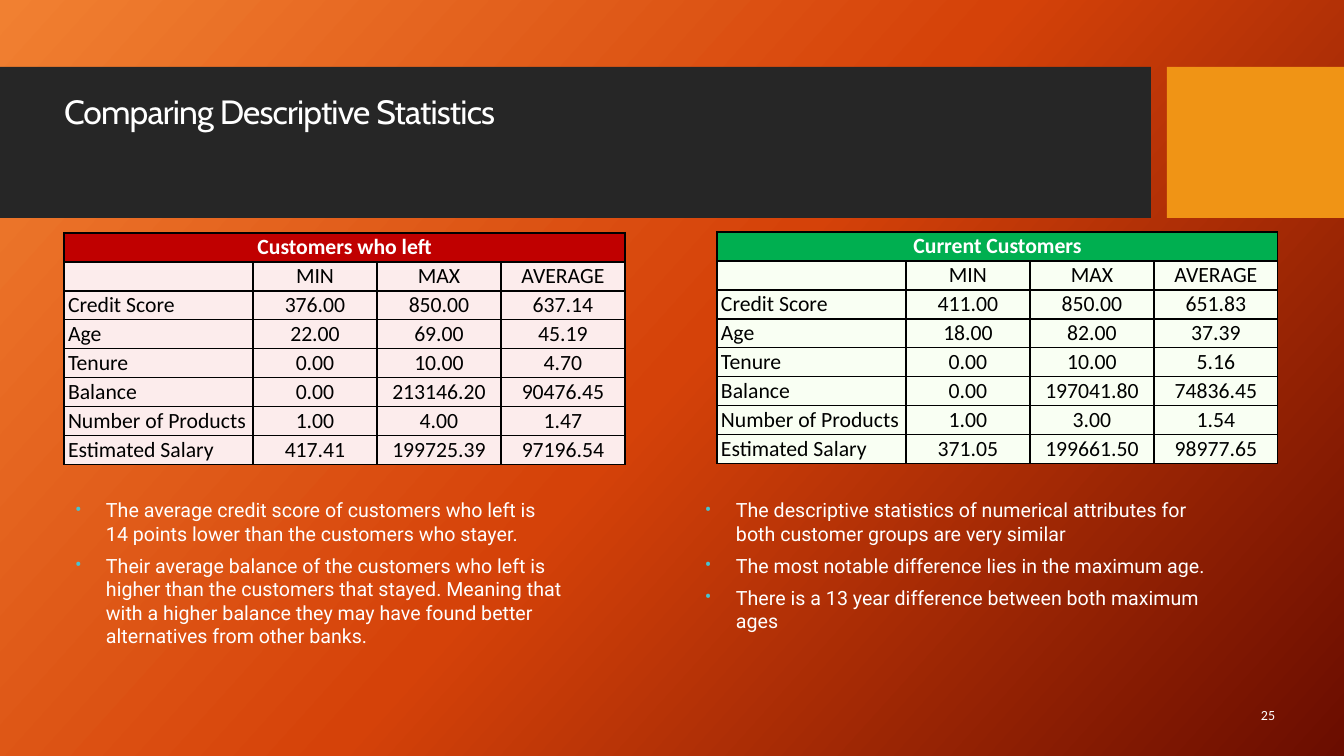
from copy import deepcopy
from dataclasses import dataclass

from lxml.etree import SubElement
from pptx import Presentation
from pptx.dml.color import RGBColor
from pptx.enum.shapes import MSO_SHAPE
from pptx.enum.text import MSO_ANCHOR as Anchor, MSO_AUTO_SIZE as AutoSize, PP_ALIGN as Align
from pptx.oxml.ns import qn
from pptx.util import Emu, Pt

EMU_PER_PX = 12192000 / 1344

WHITE = RGBColor(0xFF, 0xFF, 0xFF)
BLACK = RGBColor(0x00, 0x00, 0x00)
CHARCOAL = RGBColor(0x26, 0x26, 0x26)
AMBER = RGBColor(0xF0, 0x94, 0x15)
RED = RGBColor(0xC0, 0x00, 0x00)
PINK = RGBColor(0xFC, 0xEC, 0xEC)
GREEN = RGBColor(0x00, 0xAF, 0x50)
MINT = RGBColor(0xF9, 0xFF, 0xF3)
CYAN = RGBColor(0x46, 0xC3, 0xD2)
BACKDROP = (
    (0, RGBColor(0xF1, 0x80, 0x31)),
    (0.5, RGBColor(0xD5, 0x42, 0x09)),
    (1, RGBColor(0x6A, 0x0D, 0x00)),
)

STATISTICS = ("MIN", "MAX", "AVERAGE")
ATTRIBUTES = ("Credit Score", "Age", "Tenure", "Balance", "Number of Products", "Estimated Salary")
COLUMN_WIDTHS = (189, 124, 124, 124)
ROW_HEIGHT = 29


@dataclass(frozen=True)
class Box:
    left: int
    top: int
    width: int
    height: int

    def emu(self) -> tuple[Emu, ...]:
        return tuple(map(px, (self.left, self.top, self.width, self.height)))


@dataclass(frozen=True)
class Band:
    box: Box
    color: RGBColor


@dataclass(frozen=True)
class Finding:
    text: str
    right_margin: int = 0


@dataclass(frozen=True)
class CustomerGroup:
    heading: str
    heading_color: RGBColor
    cell_color: RGBColor
    left: int
    top: int
    values: tuple[tuple[float, float, float], ...]
    findings_box: Box
    findings: tuple[Finding, ...]


BANDS = (
    Band(Box(0, 67, 1151, 151), CHARCOAL),
    Band(Box(1167, 67, 177, 151), AMBER),
)
LEAVERS = CustomerGroup(
    "Customers who left", RED, PINK, 64, 233,
    ((376, 850, 637.14), (22, 69, 45.19), (0, 10, 4.7),
     (0, 213146.2, 90476.45), (1, 4, 1.47), (417.41, 199725.39, 97196.54)),
    Box(73, 497, 526, 152),
    (Finding("The average credit score of customers who left is 14 points lower "
             "than the customers who stayer.", right_margin=45),
     Finding("Their average balance of the customers who left is higher than the customers "
             "that stayed. Meaning that with a higher balance they may have found better "
             "alternatives from other banks.")),
)
STAYERS = CustomerGroup(
    "Current Customers", GREEN, MINT, 717, 232,
    ((411, 850, 651.83), (18, 82, 37.39), (0, 10, 5.16),
     (0, 197041.8, 74836.45), (1, 3, 1.54), (371.05, 199661.5, 98977.65)),
    Box(703, 497, 517, 137),
    (Finding("The descriptive statistics of numerical attributes for both customer groups "
             "are very similar"),
     Finding("The most notable difference lies in the maximum age."),
     Finding("There is a 13 year difference between both maximum ages")),
)


def px(length: int) -> Emu:
    return Emu(round(length * EMU_PER_PX))


def write(paragraph, text: str, *, font: str, size: float, color: RGBColor = WHITE,
          bold: bool = False, align: Align = Align.LEFT, before: float = 0,
          tracking: int = 0, left: int = 0, right: int = 0, hanging: int = 0) -> None:
    paragraph.alignment = align
    paragraph.space_before = Pt(before)
    paragraph.line_spacing = 1.0
    layout = paragraph._p.get_or_add_pPr()
    for side, length in (("marL", left), ("marR", right), ("indent", -hanging)):
        layout.set(side, str(px(length)))
    if not text:
        SubElement(paragraph._p, qn("a:endParaRPr")).set("sz", str(round(size * 100)))
        return
    run = paragraph.add_run()
    run.text = text
    run.font.name = font
    run.font.size = Pt(size)
    run.font.bold = bold
    run.font.color.rgb = color
    run._r.get_or_add_rPr().set("spc", str(tracking))


def set_frame(shape, box: Box, top_inset: int, anchor: Anchor = Anchor.TOP):
    shape.left, shape.top, shape.width, shape.height = box.emu()
    frame = shape.text_frame
    frame.word_wrap = True
    frame.auto_size = AutoSize.NONE
    frame.vertical_anchor = anchor
    frame.margin_left = frame.margin_right = frame.margin_bottom = 0
    frame.margin_top = px(top_inset)
    return frame


def paint_backdrop(slide) -> None:
    fill = slide.background.fill
    fill.gradient()
    fill.gradient_angle = 318
    stops = slide._element.find(".//" + qn("a:gsLst"))
    stops.insert(1, deepcopy(stops[0]))
    for stop, (position, color) in zip(fill.gradient_stops, BACKDROP):
        stop.position = position
        stop.color.rgb = color


def draw_band(slide, band: Band) -> None:
    bar = slide.shapes.add_shape(MSO_SHAPE.RECTANGLE, *band.box.emu())
    bar.shadow.inherit = False
    bar.fill.solid()
    bar.fill.fore_color.rgb = band.color
    bar.line.fill.background()


def border_cell(cell) -> None:
    properties = cell._tc.get_or_add_tcPr()
    for position, side in enumerate(("lnL", "lnR", "lnT", "lnB")):
        line = SubElement(properties, qn(f"a:{side}"), w=str(Pt(1)))
        solid = SubElement(line, qn("a:solidFill"))
        SubElement(solid, qn("a:srgbClr"), val=str(BLACK))
        properties.insert(position, line)


def draw_statistics(slide, group: CustomerGroup) -> None:
    rows = [(group.heading, "", "", ""), ("", *STATISTICS)]
    rows += [(name, *(f"{value:.2f}" for value in values))
             for name, values in zip(ATTRIBUTES, group.values)]
    box = Box(group.left, group.top, sum(COLUMN_WIDTHS), ROW_HEIGHT * len(rows))
    table = slide.shapes.add_table(len(rows), len(COLUMN_WIDTHS), *box.emu()).table
    table.first_row = table.horz_banding = False
    for column, width in zip(table.columns, COLUMN_WIDTHS):
        column.width = px(width)
    for r, texts in enumerate(rows):
        table.rows[r].height = px(ROW_HEIGHT)
        heading = r == 0
        for c, text in enumerate(texts):
            cell = table.cell(r, c)
            label = c == 0 and not heading
            cell.margin_left = cell.margin_right = cell.margin_bottom = 0
            cell.margin_top = px(1)
            cell.fill.solid()
            cell.fill.fore_color.rgb = group.heading_color if heading else group.cell_color
            border_cell(cell)
            write(cell.text_frame.paragraphs[0], text, font="Calibri", size=15.5,
                  color=WHITE if heading else BLACK, bold=heading, before=0.4,
                  align=Align.LEFT if label else Align.CENTER, left=4 if label else 0)
    table.cell(0, 0).merge(table.cell(0, len(COLUMN_WIDTHS) - 1))


def add_bullet(paragraph) -> None:
    layout = paragraph._p.get_or_add_pPr()
    SubElement(SubElement(layout, qn("a:buClr")), qn("a:srgbClr"), val=str(CYAN))
    SubElement(layout, qn("a:buFont"), typeface="Roboto")
    SubElement(layout, qn("a:buChar"), char="•")


def list_findings(placeholder, group: CustomerGroup) -> None:
    frame = set_frame(placeholder, group.findings_box, top_inset=1)
    for order, finding in enumerate(group.findings):
        paragraph = frame.add_paragraph() if order else frame.paragraphs[0]
        write(paragraph, finding.text, font="Roboto", size=14, before=6 if order else 1,
              left=33, right=finding.right_margin, hanging=31)
        add_bullet(paragraph)


def main() -> None:
    deck = Presentation()
    deck.slide_width, deck.slide_height = px(1344), px(756)
    slide = deck.slides.add_slide(deck.slide_layouts[3])
    paint_backdrop(slide)
    for band in BANDS:
        draw_band(slide, band)

    title = slide.shapes.title
    slide.shapes._spTree.append(title._element)
    heading = set_frame(title, Box(58, 49, 950, 83), top_inset=41, anchor=Anchor.MIDDLE)
    write(heading.paragraphs[0], "Comparing Descriptive Statistics",
          font="Cabin", size=24, before=1.1, tracking=-60, left=6)

    page_box = Box(1260, 706, 17, 19)
    page_number = set_frame(slide.shapes.add_textbox(*page_box.emu()), page_box, top_inset=1)
    write(page_number.paragraphs[0], "25", font="Calibri", size=10, before=0.9, left=1)

    for index, group in enumerate((LEAVERS, STAYERS), start=1):
        list_findings(slide.placeholders[index], group)
        draw_statistics(slide, group)
    deck.save("out.pptx")


if __name__ == "__main__":
    main()
